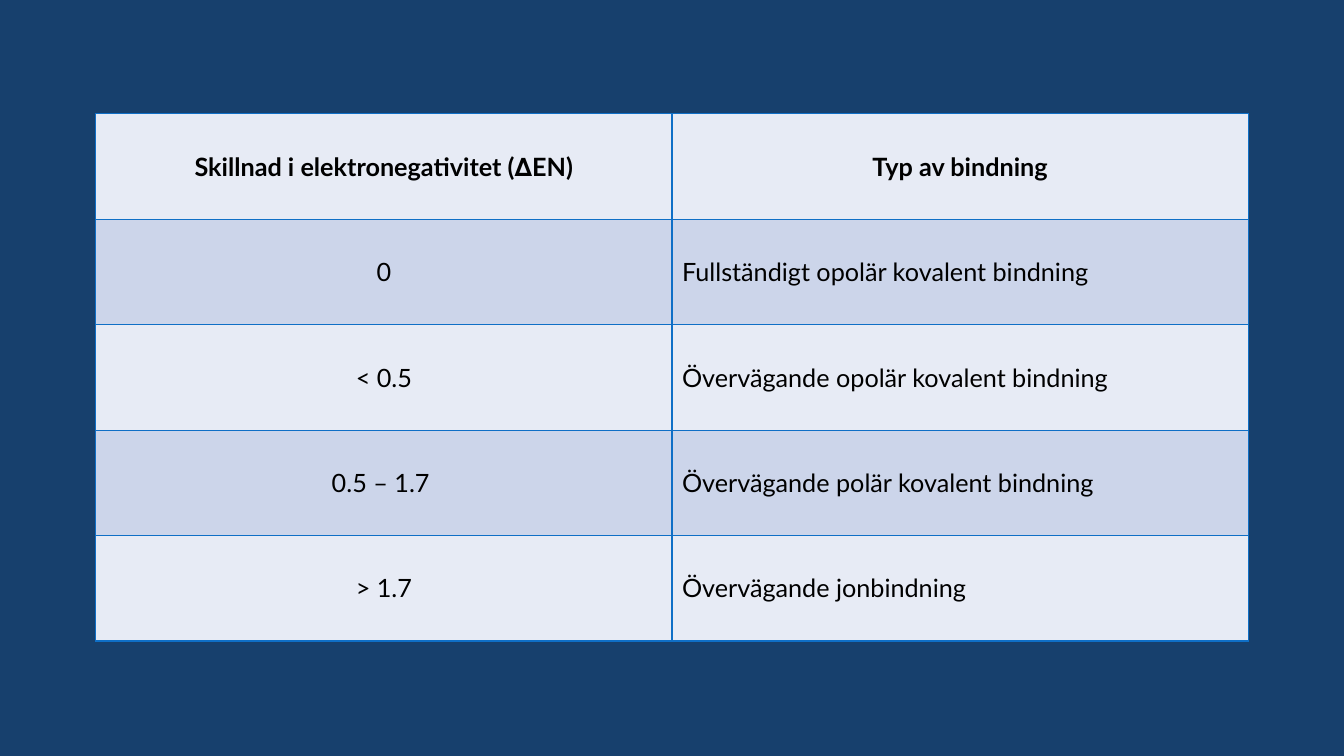
from dataclasses import dataclass

from lxml import etree
from pptx import Presentation
from pptx.dml.color import RGBColor
from pptx.enum.text import MSO_ANCHOR, PP_ALIGN
from pptx.oxml.ns import qn
from pptx.util import Inches, Pt

MIDDLE = MSO_ANCHOR.MIDDLE
CENTER, LEFT = PP_ALIGN.CENTER, PP_ALIGN.LEFT

COLORS = {
    "background": "17406D",
    "border": "0F6FC6",
    "light": "E7EBF5",
    "dark": "CCD5EA",
    "text": "000000",
}
FONT = "Lato"
TEXT_SIZE = Pt(18)
BORDER_WIDTH = Pt(1)
BORDER_SIDES = ("a:lnL", "a:lnR", "a:lnT", "a:lnB")

# Slide and table grid, in inches
SLIDE_WIDTH, SLIDE_HEIGHT = 13.33, 7.5
TABLE_LEFT, TABLE_TOP = 0.95, 1.13
TABLE_WIDTH, TABLE_HEIGHT = 11.43, 5.23


@dataclass(frozen=True)
class BondRow:
    difference: str
    bond: str
    header: bool = False


BOND_ROWS = [
    BondRow("Skillnad i elektronegativitet (∆EN)", "Typ av bindning", header=True),
    BondRow("0", "Fullständigt opolär kovalent bindning"),
    BondRow("< 0.5", "Övervägande opolär kovalent bindning"),
    BondRow("0.5 – 1.7 ", "Övervägande polär kovalent bindning"),
    BondRow("> 1.7", "Övervägande jonbindning"),
]


def color(name: str) -> RGBColor:
    return RGBColor.from_string(COLORS[name])


def add_borders(cell) -> None:
    """Draw the four cell edges; they must precede the cell's fill."""
    properties = cell._tc.get_or_add_tcPr()
    for position, side in enumerate(BORDER_SIDES):
        line = etree.Element(qn(side), w=str(BORDER_WIDTH))
        fill = etree.SubElement(line, qn("a:solidFill"))
        etree.SubElement(fill, qn("a:srgbClr"), val=COLORS["border"])
        properties.insert(position, line)


def fill_cell(cell, text: str, fill: str, alignment: PP_ALIGN, bold: bool) -> None:
    cell.fill.solid()
    cell.fill.fore_color.rgb = color(fill)
    add_borders(cell)
    cell.vertical_anchor = MIDDLE
    cell.text_frame.text = text
    para = cell.text_frame.paragraphs[0]
    para.alignment = alignment
    font = para.runs[0].font
    font.name, font.size, font.bold = FONT, TEXT_SIZE, bold
    font.color.rgb = color("text")


def add_bond_table(page, rows: list[BondRow]) -> None:
    table = page.shapes.add_table(
        len(rows), 2, Inches(TABLE_LEFT), Inches(TABLE_TOP),
        Inches(TABLE_WIDTH), Inches(TABLE_HEIGHT),
    ).table
    for index, row in enumerate(rows):
        fill = "dark" if index % 2 else "light"
        bond_alignment = CENTER if row.header else LEFT
        fill_cell(table.cell(index, 0), row.difference, fill, CENTER, row.header)
        fill_cell(table.cell(index, 1), row.bond, fill, bond_alignment, row.header)


def main() -> None:
    deck = Presentation()
    deck.slide_width, deck.slide_height = Inches(SLIDE_WIDTH), Inches(SLIDE_HEIGHT)
    page = deck.slides.add_slide(deck.slide_layouts[6])

    # Background
    page.background.fill.solid()
    page.background.fill.fore_color.rgb = color("background")

    # Bond types by difference in electronegativity
    add_bond_table(page, BOND_ROWS)
    deck.save("out.pptx")


if __name__ == "__main__":
    main()
